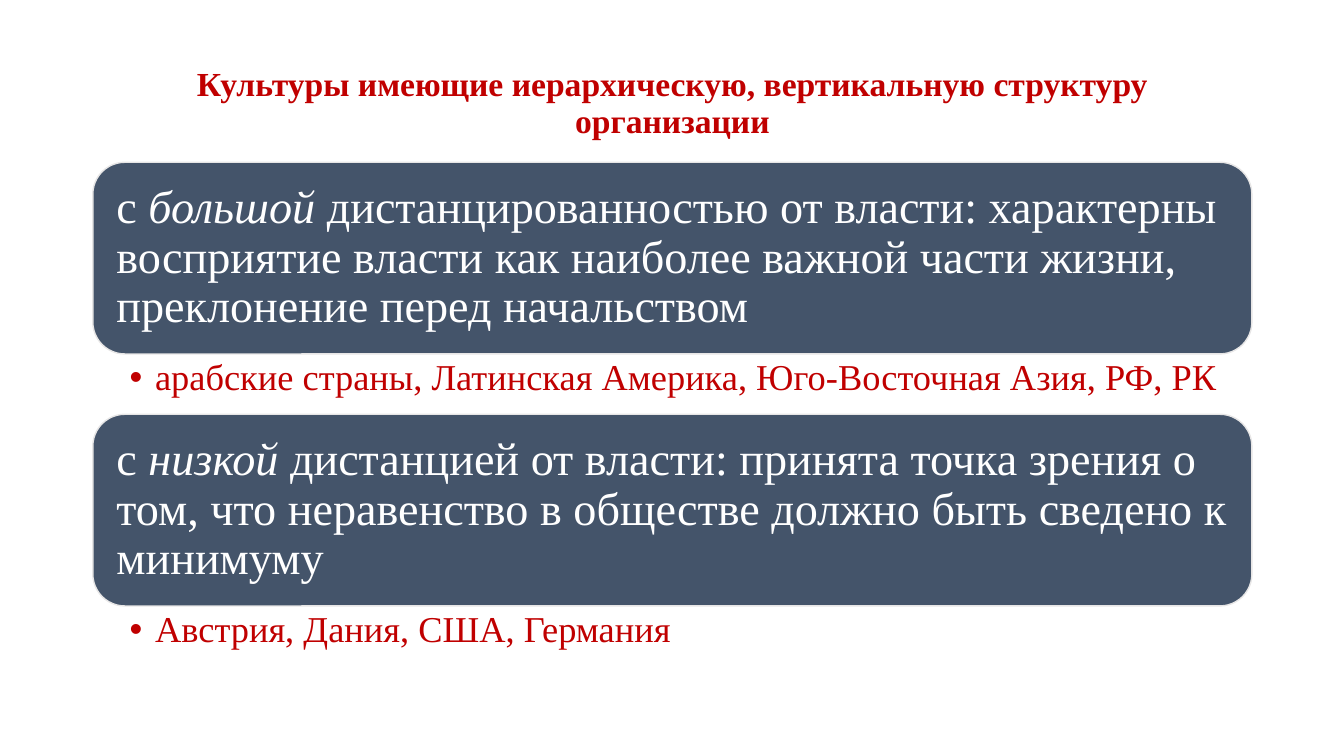
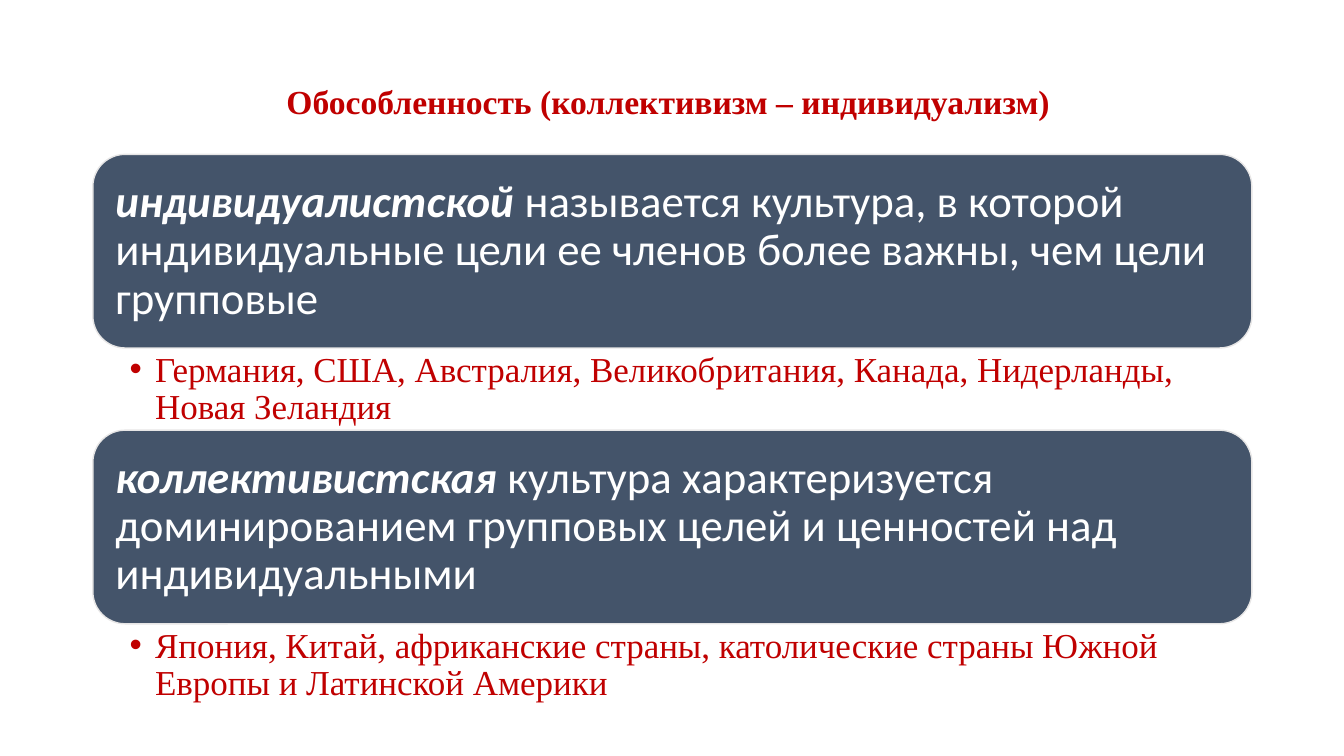
from lxml.etree import SubElement
from pptx import Presentation
from pptx.dml.color import RGBColor
from pptx.enum.shapes import MSO_SHAPE
from pptx.enum.text import MSO_ANCHOR, MSO_AUTO_SIZE, PP_ALIGN
from pptx.oxml.ns import qn
from pptx.util import Cm, Pt

RED = RGBColor(0xC0, 0x00, 0x00)
SLATE = RGBColor(0x44, 0x54, 0x6A)
PALE = RGBColor(0xE7, 0xE6, 0xE6)
WHITE = RGBColor(0xFF, 0xFF, 0xFF)
SERIF = "Times New Roman"

LEFT, WIDTH = Cm(2.34), Cm(29.21)
INDENT = Cm(0.64)

# Each block: definition runs as (text, emphasised), then the example countries
SLIDES = [
    {
        "title": "Культуры имеющие иерархическую, вертикальную структуру организации",
        "top": 4.09, "box": 4.83, "caption": 1.52, "inset": 0.36, "caption_inset": 0.13,
        "font": SERIF, "size": 33, "caption_size": 26, "bold": False,
        "blocks": [
            ([("с ", False), ("большой ", True),
              ("дистанцированностью от власти: характерны восприятие власти как "
               "наиболее важной части жизни, преклонение перед начальством", False)],
             "арабские страны, Латинская Америка, Юго-Восточная Азия, РФ, РК"),
            ([("с ", False), ("низкой", True),
              (" дистанцией от власти: принята точка зрения о том, что неравенство "
               "в обществе должно быть сведено к минимуму", False)],
             "Австрия, Дания, США, Германия"),
        ],
    },
    {
        "title": "Обособленность (коллективизм – индивидуализм) ",
        "top": 3.89, "box": 4.88, "caption": 2.07, "inset": 0.33, "caption_inset": 0.1,
        "font": "Calibri", "size": 32, "caption_size": 25, "bold": True,
        "blocks": [
            ([("индивидуалистской", True),
              (" называется культура, в которой индивидуальные цели ее членов "
               "более важны, чем цели групповые", False)],
             "Германия, США, Австралия, Великобритания, Канада, Нидерланды, Новая Зеландия"),
            ([("коллективистская", True),
              (" культура характеризуется доминированием групповых целей и "
               "ценностей над индивидуальными", False)],
             "Япония, Китай, африканские страны, католические страны Южной Европы "
             "и Латинской Америки"),
        ],
    },
]


def set_frame(tf, anchor, left, right, vertical):
    tf.word_wrap = True
    tf.auto_size = MSO_AUTO_SIZE.NONE
    tf.vertical_anchor = anchor
    tf.margin_left, tf.margin_right = Cm(left), Cm(right)
    tf.margin_top = tf.margin_bottom = Cm(vertical)
    tf.paragraphs[0].line_spacing = 0.9


def set_font(r, name, size, color, bold=False, italic=False):
    r.font.name, r.font.size = name, Pt(size)
    r.font.color.rgb = color
    r.font.bold, r.font.italic = bold, italic


prs = Presentation()
prs.slide_width, prs.slide_height = Cm(33.87), Cm(19.05)

for data in SLIDES:
    s = prs.slides.add_slide(prs.slide_layouts[5])

    title = s.shapes.title
    title.left, title.top, title.width, title.height = LEFT, Cm(1.02), WIDTH, Cm(3.2)
    title.text_frame.text = data["title"]
    set_frame(title.text_frame, MSO_ANCHOR.MIDDLE, 0.25, 0.25, 0.13)
    p = title.text_frame.paragraphs[0]
    p.alignment = PP_ALIGN.CENTER
    set_font(p.runs[0], SERIF, 24, RED, bold=True)

    for i, (definition, countries) in enumerate(data["blocks"]):
        top = data["top"] + i * (data["box"] + data["caption"])

        box = s.shapes.add_shape(MSO_SHAPE.ROUNDED_RECTANGLE, LEFT, Cm(top), WIDTH, Cm(data["box"]))
        box.shadow.inherit = False
        box.fill.solid()
        box.fill.fore_color.rgb = SLATE
        box.line.color.rgb = PALE
        box.line.width = Pt(1)
        inset = data["inset"]
        set_frame(box.text_frame, MSO_ANCHOR.MIDDLE, inset, inset, inset)
        p = box.text_frame.paragraphs[0]
        p.alignment = PP_ALIGN.LEFT
        for text, emphasised in definition:
            r = p.add_run()
            r.text = text
            set_font(r, data["font"], data["size"], WHITE,
                     bold=emphasised and data["bold"], italic=emphasised)

        caption = s.shapes.add_textbox(LEFT, Cm(top + data["box"]), WIDTH, Cm(data["caption"]))
        tf = caption.text_frame
        tf.text = countries
        set_frame(tf, MSO_ANCHOR.TOP, 0.93, 0.65, data["caption_inset"])
        p = tf.paragraphs[0]
        p.level = 1
        pPr = p._p.get_or_add_pPr()
        pPr.set("marL", str(INDENT))
        pPr.set("indent", str(-INDENT))
        SubElement(pPr, qn("a:buFont"), typeface="Arial")
        SubElement(pPr, qn("a:buChar"), char="•")
        set_font(p.runs[0], SERIF, data["caption_size"], RED)

prs.save("out.pptx")
